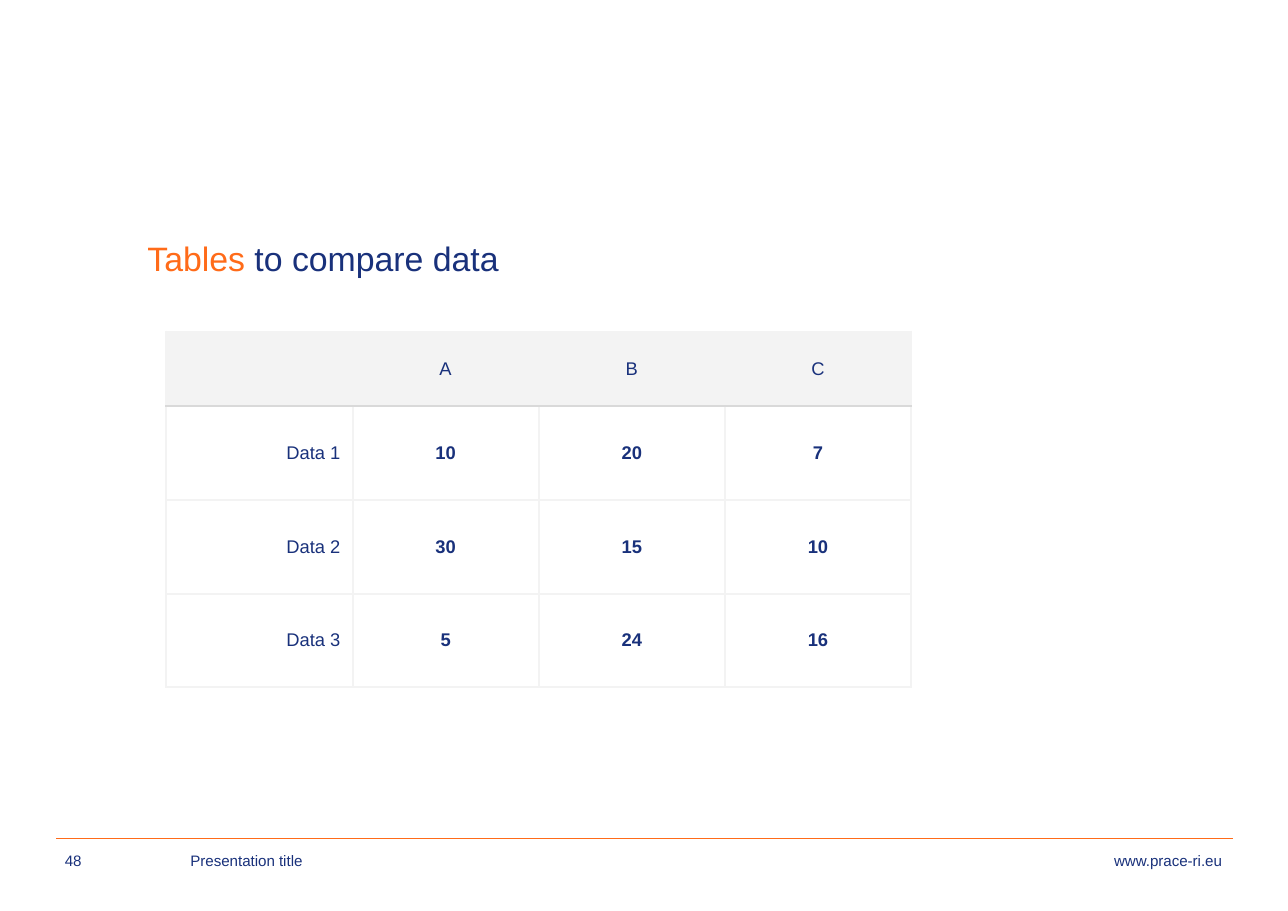
"""Build a slide with a small table that compares three data series."""
from lxml.etree import SubElement
from pptx import Presentation
from pptx.dml.color import RGBColor
from pptx.enum.shapes import MSO_CONNECTOR
from pptx.enum.text import MSO_ANCHOR, PP_ALIGN
from pptx.oxml import parse_xml
from pptx.oxml.ns import nsdecls, qn
from pptx.util import Inches, Pt

COLOURS = {"navy": "19317B", "orange": "FF6B19", "pale": "F3F3F3", "rule": "D9D9D9"}
COMPARISON = [
    ["", "A", "B", "C"],
    ["Data 1", "10", "20", "7"],
    ["Data 2", "30", "15", "10"],
    ["Data 3", "5", "24", "16"],
]
FOOTER = [
    ("48", 0.49, 0.75, PP_ALIGN.LEFT),
    ("Presentation title", 1.63, 3.31, PP_ALIGN.LEFT),
    ("www.prace-ri.eu", 9.81, 1.38, PP_ALIGN.RIGHT),
]


def apply_format(target, settings):
    for name, value in settings.items():
        setattr(target, name, value)


class SlideBuilder:
    def __init__(self, slide, font="Arial"):
        self.slide = slide
        self.font = font

    def colour(self, name):
        return RGBColor.from_string(COLOURS[name])

    def add_words(self, paragraph, pieces, size, align, bold=False):
        paragraph.alignment = align
        for words, colour in pieces:
            run = paragraph.add_run()
            run.text = words
            apply_format(run.font, {"name": self.font, "size": Pt(size), "bold": bold})
            run.font.color.rgb = self.colour(colour)

    def text(self, box, pieces, size, align=PP_ALIGN.LEFT, **frame_format):
        frame = self.slide.shapes.add_textbox(*map(Inches, box)).text_frame
        apply_format(frame, {"word_wrap": True, **frame_format})
        self.add_words(frame.paragraphs[0], pieces, size, align)

    def line(self, left, right, y, colour):
        rule = self.slide.shapes.add_connector(
            MSO_CONNECTOR.STRAIGHT, *map(Inches, (left, y, right, y)))
        rule.line.color.rgb = self.colour(colour)
        rule.line.width = Pt(1)
        SubElement(rule._element.spPr, qn("a:effectLst"))

    def borders(self, cell, sides):
        properties = cell._tc.get_or_add_tcPr()
        for position, (side, colour) in enumerate(sides.items()):
            properties.insert(position, parse_xml(
                f'<a:ln{side} {nsdecls("a")} w="{Pt(1.5)}"><a:solidFill>'
                f'<a:srgbClr val="{COLOURS[colour]}"/></a:solidFill></a:ln{side}>'))

    def table(self, box, rows, heights):
        table = self.slide.shapes.add_table(
            len(rows), len(rows[0]), *map(Inches, box)).table
        apply_format(table, {"first_row": False, "horz_banding": False})
        for column in table.columns:
            column.width = Inches(box[2] / len(rows[0]))
        for r, (values, height) in enumerate(zip(rows, heights)):
            table.rows[r].height = Inches(height)
            for c, value in enumerate(values):
                self.cell(table.cell(r, c), value, r, c)

    def cell(self, cell, value, r, c):
        apply_format(cell, {
            "vertical_anchor": MSO_ANCHOR.MIDDLE,
            "margin_left": Inches(0.11), "margin_right": Inches(0.11),
            "margin_top": Inches(0.08), "margin_bottom": Inches(0.08),
        })
        if r == 0:
            cell.fill.solid()
            cell.fill.fore_color.rgb = self.colour("pale")
        else:
            cell.fill.background()
        self.borders(cell, {
            "L": "pale", "R": "pale",
            "T": "rule" if r == 1 else "pale",
            "B": "rule" if r == 0 else "pale",
        })
        if value:
            align = PP_ALIGN.CENTER if c else PP_ALIGN.RIGHT
            self.add_words(cell.text_frame.paragraphs[0], [(value, "navy")], 12, align,
                           bold=r > 0 and c > 0)


def main():
    presentation = Presentation()
    presentation.slide_width = Inches(11.69)
    presentation.slide_height = Inches(8.27)
    builder = SlideBuilder(presentation.slides.add_slide(presentation.slide_layouts[6]))

    builder.line(0.51, 11.19, 7.61, "orange")
    for words, left, width, align in FOOTER:
        builder.text((left, 7.68, width, 0.59), [(words, "navy")], 9.9, align)

    builder.text((1.24, 1.65, 9.3, 0.98),
                 [("Tables ", "orange"), ("to compare data", "navy")], 22.1,
                 vertical_anchor=MSO_ANCHOR.BOTTOM,
                 margin_top=Inches(0.1), margin_bottom=Inches(0.1))
    builder.table((1.51, 3.01, 6.76, 3.23), COMPARISON, [0.68, 0.85, 0.85, 0.85])

    presentation.save("out.pptx")


if __name__ == "__main__":
    main()
